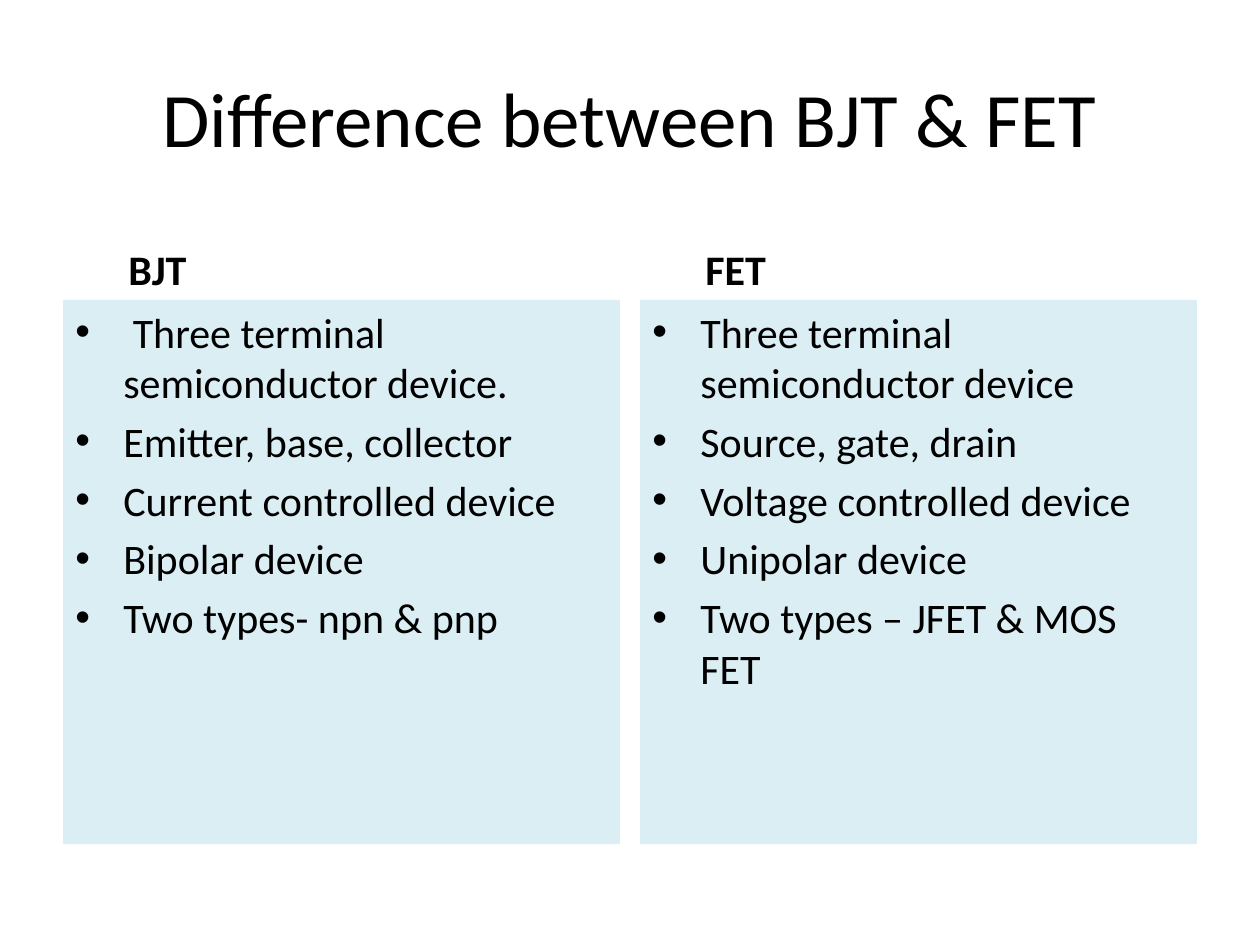
from dataclasses import dataclass

import pptx
import pptx.dml.color
import pptx.enum.shapes
import pptx.enum.text
import pptx.oxml
import pptx.oxml.ns
import pptx.util
from pptx.util import Inches

ALIGN = pptx.enum.text.PP_ALIGN
ANCHOR = pptx.enum.text.MSO_ANCHOR


@dataclass(frozen=True)
class Theme:
    """Colours, font and type sizes of the slide."""

    font: str = "Calibri"
    ink: str = "000000"
    panel: str = "DBEEF4"
    title_size: int = 44
    body_size: int = 24
    paragraph_gap: float = 4.8


THEME = Theme()
PANEL_WIDTH = 4.42
COLUMNS = [
    (0.5, 0.92, "BJT", [
        " Three terminal semiconductor device.",
        "Emitter, base, collector",
        "Current controlled device",
        "Bipolar device",
        "Two types- npn & pnp",
    ]),
    (5.08, 5.5, "FET", [
        "Three terminal semiconductor device",
        "Source, gate, drain",
        "Voltage controlled device",
        "Unipolar device",
        "Two types – JFET & MOS FET",
    ]),
]


def add_bullet(paragraph):
    """Give a paragraph a round bullet with a hanging indent."""
    properties = paragraph._p.get_or_add_pPr()
    properties.set("marL", str(Inches(0.38)))
    properties.set("indent", str(-Inches(0.38)))
    namespace = pptx.oxml.ns.nsdecls("a")
    properties.append(pptx.oxml.parse_xml(f'<a:buFont {namespace} typeface="Arial"/>'))
    properties.append(pptx.oxml.parse_xml(f'<a:buChar {namespace} char="•"/>'))


def write(frame, lines, size=THEME.body_size, bold=False, align=ALIGN.LEFT,
          anchor=ANCHOR.TOP, bulleted=False):
    """Fill a text frame with one formatted paragraph per line."""
    frame.word_wrap = True
    frame.vertical_anchor = anchor
    for index, line in enumerate(lines):
        paragraph = frame.add_paragraph() if index else frame.paragraphs[0]
        paragraph.alignment = align
        if index:
            paragraph.space_before = pptx.util.Pt(THEME.paragraph_gap)
        if bulleted:
            add_bullet(paragraph)
        run = paragraph.add_run()
        run.text = line
        run.font.name = THEME.font
        run.font.size = pptx.util.Pt(size)
        run.font.bold = bold
        run.font.color.rgb = pptx.dml.color.RGBColor.from_string(THEME.ink)


def add_label(slide, left, top, width, height, text, **style):
    """Add a single line of text in its own box."""
    label = slide.shapes.add_textbox(
        Inches(left), Inches(top), Inches(width), Inches(height))
    write(label.text_frame, [text], **style)


def add_panel(slide, left, points):
    """Add a tinted panel holding a bulleted list."""
    panel = slide.shapes.add_shape(
        pptx.enum.shapes.MSO_SHAPE.RECTANGLE,
        Inches(left), Inches(2.38), Inches(PANEL_WIDTH), Inches(4.32))
    panel.shadow.inherit = False
    panel.fill.solid()
    panel.fill.fore_color.rgb = pptx.dml.color.RGBColor.from_string(THEME.panel)
    panel.line.fill.background()
    write(panel.text_frame, points, bulleted=True)


def main():
    """Build the comparison slide and save it."""
    presentation = pptx.Presentation()
    presentation.slide_width = Inches(10)
    presentation.slide_height = Inches(7.5)
    slide = presentation.slides.add_slide(presentation.slide_layouts[6])
    add_label(slide, 0.5, 0.3, 9, 1.25, "Difference between BJT & FET",
              size=THEME.title_size, align=ALIGN.CENTER, anchor=ANCHOR.MIDDLE)
    for panel_left, heading_left, heading, points in COLUMNS:
        add_label(slide, heading_left, 1.68, 4, 0.7, heading,
                  bold=True, anchor=ANCHOR.BOTTOM)
        add_panel(slide, panel_left, points)
    presentation.save("out.pptx")


if __name__ == "__main__":
    main()
